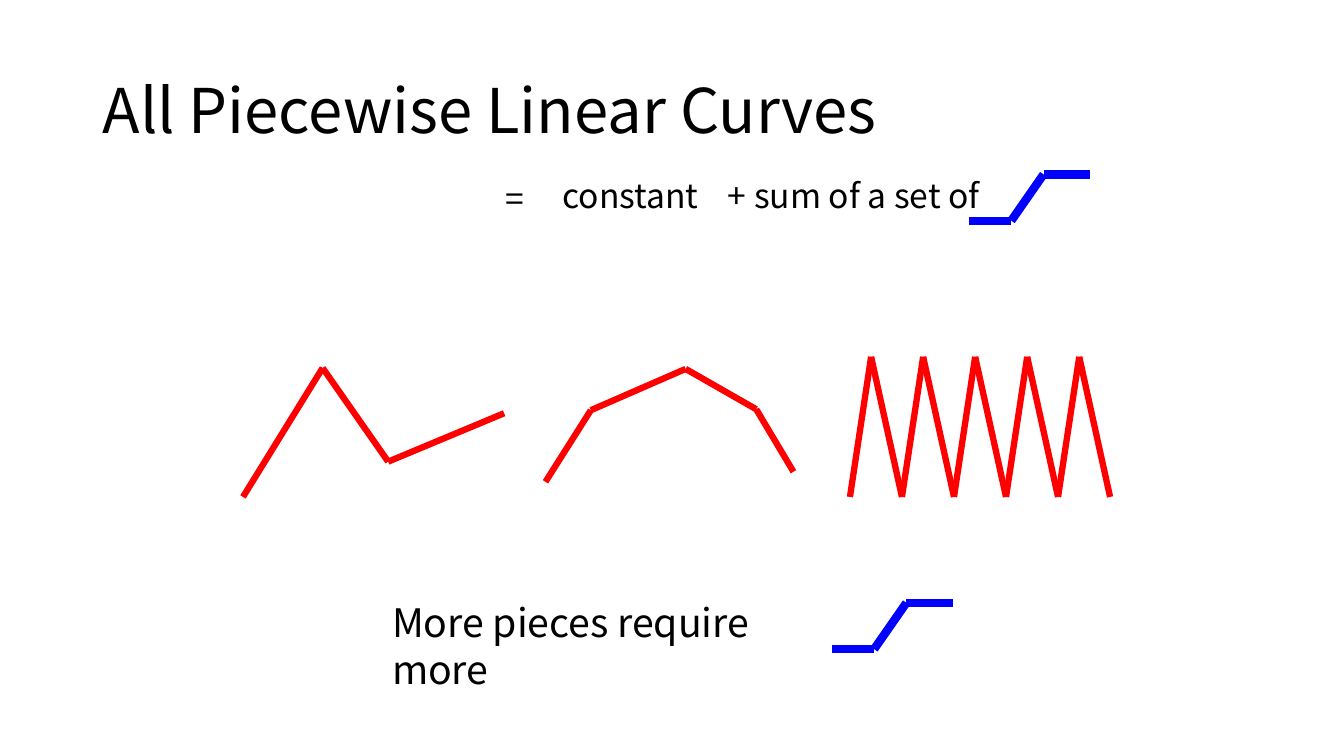
from itertools import pairwise

from lxml import etree
from pptx import Presentation
from pptx.dml.color import RGBColor
from pptx.enum.shapes import MSO_CONNECTOR
from pptx.enum.text import MSO_ANCHOR
from pptx.oxml.ns import qn
from pptx.util import Inches, Pt

STRAIGHT = MSO_CONNECTOR.STRAIGHT
TOP, MIDDLE = MSO_ANCHOR.TOP, MSO_ANCHOR.MIDDLE
FONT = "Noto Sans CJK SC"
BLACK, RED, BLUE = "000000", "FF0000", "0000FF"

VALLEY_CURVE = [(2.41, 4.93), (3.2, 3.65), (3.85, 4.58), (5, 4.1)]
ARCH_CURVE = [(5.41, 4.78), (5.86, 4.07), (6.8, 3.66), (7.5, 4.06), (7.87, 4.68)]
STEP_SHAPE = [(0, 0.46), (0.42, 0.46), (0.74, 0), (1.2, 0)]
FORMULA = [("=", 4.92, 1.72, 0.5), ("constant", 5.48, 1.69, 1.6),
           ("+", 7.12, 1.69, 0.45), ("sum of a set of", 7.38, 1.69, 2.61)]


def color(hex_value):
    """Turn a hex string into a colour."""
    return RGBColor.from_string(hex_value)


def add_text(slide, text, left, top, width, height, size, anchor=TOP, spacing=1.0):
    """Add a wrapping text box with one paragraph."""
    box = slide.shapes.add_textbox(Inches(left), Inches(top), Inches(width), Inches(height))
    frame = box.text_frame
    frame.word_wrap = True
    frame.vertical_anchor = anchor
    frame.text = text
    paragraph = frame.paragraphs[0]
    paragraph.line_spacing = spacing
    font = paragraph.runs[0].font
    font.name = FONT
    font.size = Pt(size)
    font.color.rgb = color(BLACK)


def add_curve(slide, points, hex_value, weight):
    """Add a group of straight lines that join the points in order."""
    group = slide.shapes.add_group_shape()
    for start, end in pairwise(points):
        line = group.shapes.add_connector(STRAIGHT, *map(Inches, start + end))
        line.line.color.rgb = color(hex_value)
        line.line.width = Pt(weight)
        etree.SubElement(line._element.spPr, qn("a:effectLst"))


def add_step(slide, left, top):
    """Add the blue step symbol."""
    add_curve(slide, [(left + x, top + y) for x, y in STEP_SHAPE], BLUE, 6)


def zigzag_points(left, period, rise, top, bottom, teeth):
    """Return the corners of a row of equal teeth."""
    points = [(left, bottom)]
    for tooth in range(teeth):
        start = left + tooth * period
        points += [(start + rise, top), (start + period, bottom)]
    return points


def main():
    """Build and save the slide."""
    presentation = Presentation()
    presentation.slide_width = Inches(13.33)
    presentation.slide_height = Inches(7.5)
    slide = presentation.slides.add_slide(presentation.slide_layouts[6])

    add_text(slide, "All Piecewise Linear Curves", 0.92, 0.4, 11.5, 1.45, 44, MIDDLE, 0.9)
    for text, left, top, width in FORMULA:
        add_text(slide, text, left, top, width, 0.5, 24)
    add_step(slide, 9.61, 1.73)

    zigzag = zigzag_points(8.43, 0.516, 0.21, 3.54, 4.93, 5)
    for curve in (VALLEY_CURVE, ARCH_CURVE, zigzag):
        add_curve(slide, curve, RED, 4.5)

    add_text(slide, "More pieces require more", 3.79, 5.89, 4.67, 0.57, 28)
    add_step(slide, 8.25, 5.98)
    presentation.save("out.pptx")


if __name__ == "__main__":
    main()
